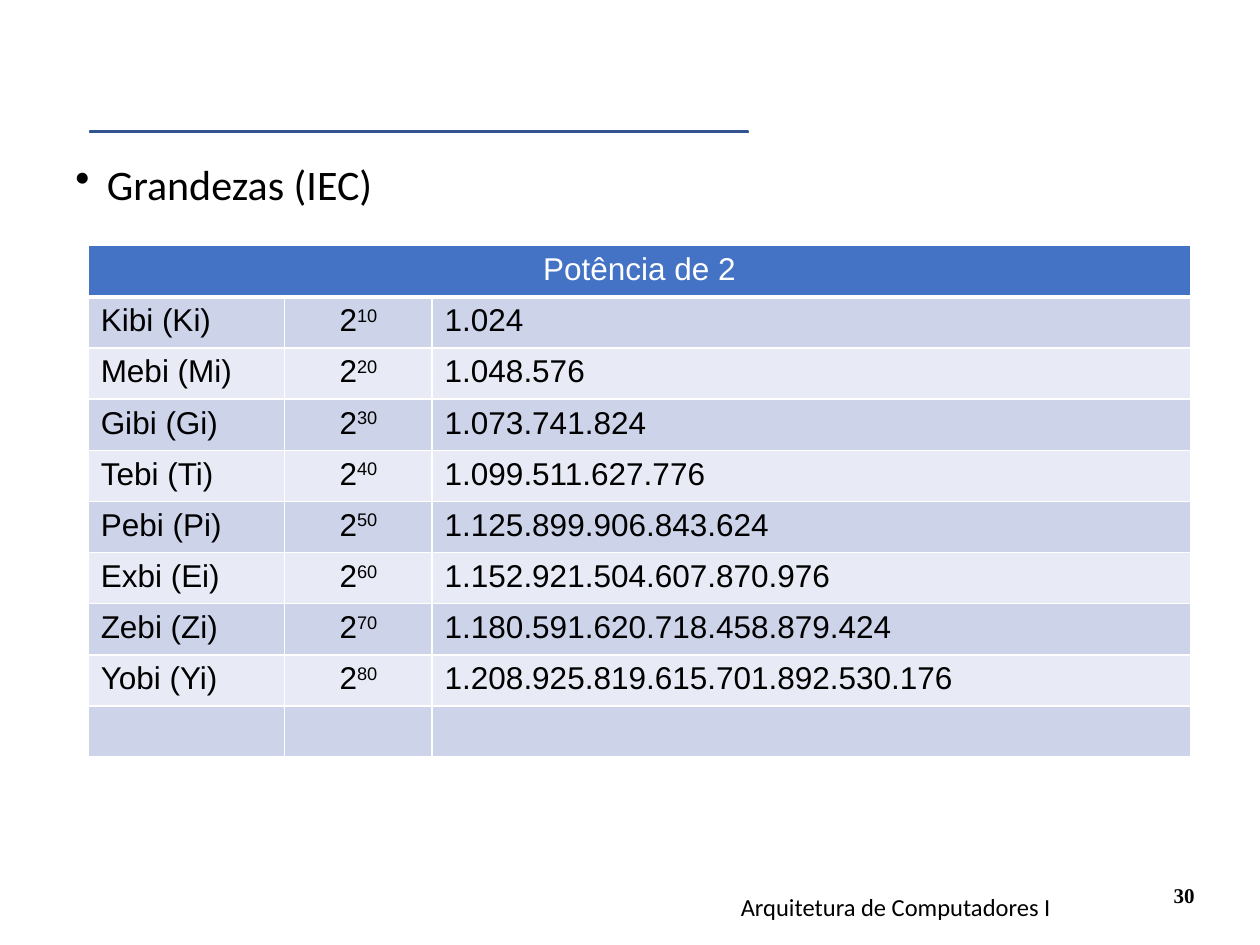
import pptx
import pptx.util
import pptx.dml.color
import pptx.enum.shapes
import pptx.enum.text
import pptx.oxml
import pptx.oxml.ns

Pt = pptx.util.Pt
Align = pptx.enum.text.PP_ALIGN
Anchor = pptx.enum.text.MSO_ANCHOR

# Content
TOPIC = "Grandezas (IEC)"
HEAD = "Potência de 2"
UNITS = [
    ("Kibi (Ki)", "10", "1.024"),
    ("Mebi (Mi)", "20", "1.048.576"),
    ("Gibi (Gi)", "30", "1.073.741.824"),
    ("Tebi (Ti)", "40", "1.099.511.627.776"),
    ("Pebi (Pi)", "50", "1.125.899.906.843.624"),
    ("Exbi (Ei)", "60", "1.152.921.504.607.870.976"),
    ("Zebi (Zi)", "70", "1.180.591.620.718.458.879.424"),
    ("Yobi (Yi)", "80", "1.208.925.819.615.701.892.530.176"),
    ("", "", ""),
]
COURSE = "Arquitetura de Computadores I"
PAGE = "30"

THEME = {
    "ink": "000000", "white": "FFFFFF", "head": "4472C4", "edge": "31538F",
    "bands": ("CDD4EA", "E8EBF5"),
    "topic": ("Calibri", 24), "cell": ("Arial", 18),
    "course": ("Calibri", 14), "page": ("Times New Roman", 12),
}
COLS = (112.32, 84.24, 433.44)
ROW = 29.23


def color(code):
    return pptx.dml.color.RGBColor.from_string(code)


def style(par, role, align=Align.LEFT, ink=THEME["ink"]):
    par.font.name, size = THEME[role]
    par.font.size = Pt(size)
    par.font.color.rgb = color(ink)
    par.alignment = align


def label(slide, box, text, role, align=Align.LEFT, anchor=Anchor.TOP):
    frame = slide.shapes.add_textbox(*map(Pt, box)).text_frame
    frame.word_wrap = True
    frame.vertical_anchor = anchor
    par = frame.paragraphs[0]
    par.text = text
    style(par, role, align)
    return par


def bullet(par):
    par.line_spacing = 0.9
    props = par.font._element.getparent()
    props.set("marL", str(Pt(18)))
    props.set("indent", str(Pt(-18)))
    mark = pptx.oxml.parse_xml(
        f'<a:buChar {pptx.oxml.ns.nsdecls("a")} char="•"/>')
    par.font._element.addprevious(mark)


def border(cell, top, base):
    props = cell._tc.get_or_add_tcPr()
    sides = (("lnL", 1), ("lnR", 1), ("lnT", top), ("lnB", base))
    for spot, (side, width) in enumerate(sides):
        props.insert(spot, pptx.oxml.parse_xml(
            f'<a:{side} {pptx.oxml.ns.nsdecls("a")} w="{Pt(width)}">'
            f'<a:solidFill><a:srgbClr val="{THEME["white"]}"/></a:solidFill>'
            f'</a:{side}>'))


def paint(cell, fill, top=1, base=1):
    cell.fill.solid()
    cell.fill.fore_color.rgb = color(fill)
    border(cell, top, base)


def units(slide):
    count = len(UNITS) + 1
    table = slide.shapes.add_table(
        count, len(COLS), Pt(50.4), Pt(140.4),
        Pt(sum(COLS)), Pt(ROW * count)).table
    for col, width in zip(table.columns, COLS):
        col.width = Pt(width)
    for row in table.rows:
        row.height = Pt(ROW)

    # Heading across all columns
    for cell in table.rows[0].cells:
        paint(cell, THEME["head"], base=3)
    first = table.cell(0, 0)
    first.merge(table.cell(0, len(COLS) - 1))
    first.text = HEAD
    style(first.text_frame.paragraphs[0], "cell", Align.CENTER, THEME["white"])

    # One banded row per unit
    for num, (name, power, value) in enumerate(UNITS, 1):
        base = "2" if power else ""
        for col, text in enumerate((name, base, value)):
            cell = table.cell(num, col)
            paint(cell, THEME["bands"][(num - 1) % 2], top=3 if num == 1 else 1)
            par = cell.text_frame.paragraphs[0]
            style(par, "cell", Align.CENTER if col == 1 else Align.LEFT)
            if text:
                par.add_run().text = text
            if col == 1 and power:
                run = par.add_run()
                run.text = power
                run.font._element.set("baseline", "30000")


def rule(slide):
    bar = slide.shapes.add_shape(
        pptx.enum.shapes.MSO_SHAPE.MATH_MINUS,
        Pt(-16.56), Pt(73.44), Pt(511.92), Pt(3.6))
    bar.adjustments[0] = 0.235
    bar.shadow.inherit = False
    bar.fill.solid()
    bar.fill.fore_color.rgb = color(THEME["head"])
    bar.line.color.rgb = color(THEME["edge"])
    bar.line.width = Pt(1)


def main():
    deck = pptx.Presentation()
    deck.slide_width, deck.slide_height = Pt(720), Pt(540)
    slide = deck.slides.add_slide(deck.slide_layouts[6])

    # Topic, page number and rule
    bullet(label(slide, (36, 90, 648, 356.4), TOPIC, "topic"))
    page = label(slide, (504, 486, 185.76, 36), PAGE, "page",
                 Align.RIGHT, Anchor.BOTTOM)
    page.font.bold = True
    rule(slide)

    # Table and course name
    units(slide)
    label(slide, (352.08, 506.16, 319.68, 36), COURSE, "course", Align.CENTER)
    deck.save("out.pptx")


if __name__ == "__main__":
    main()
